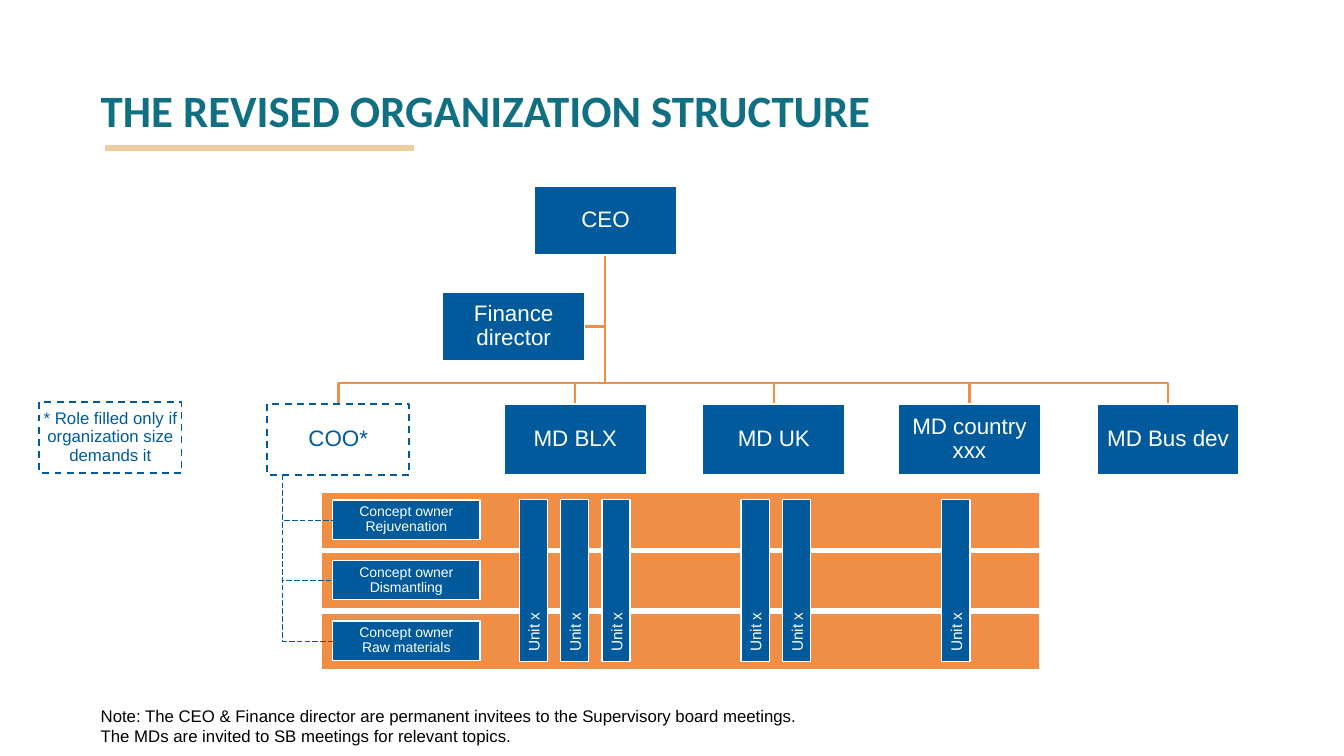
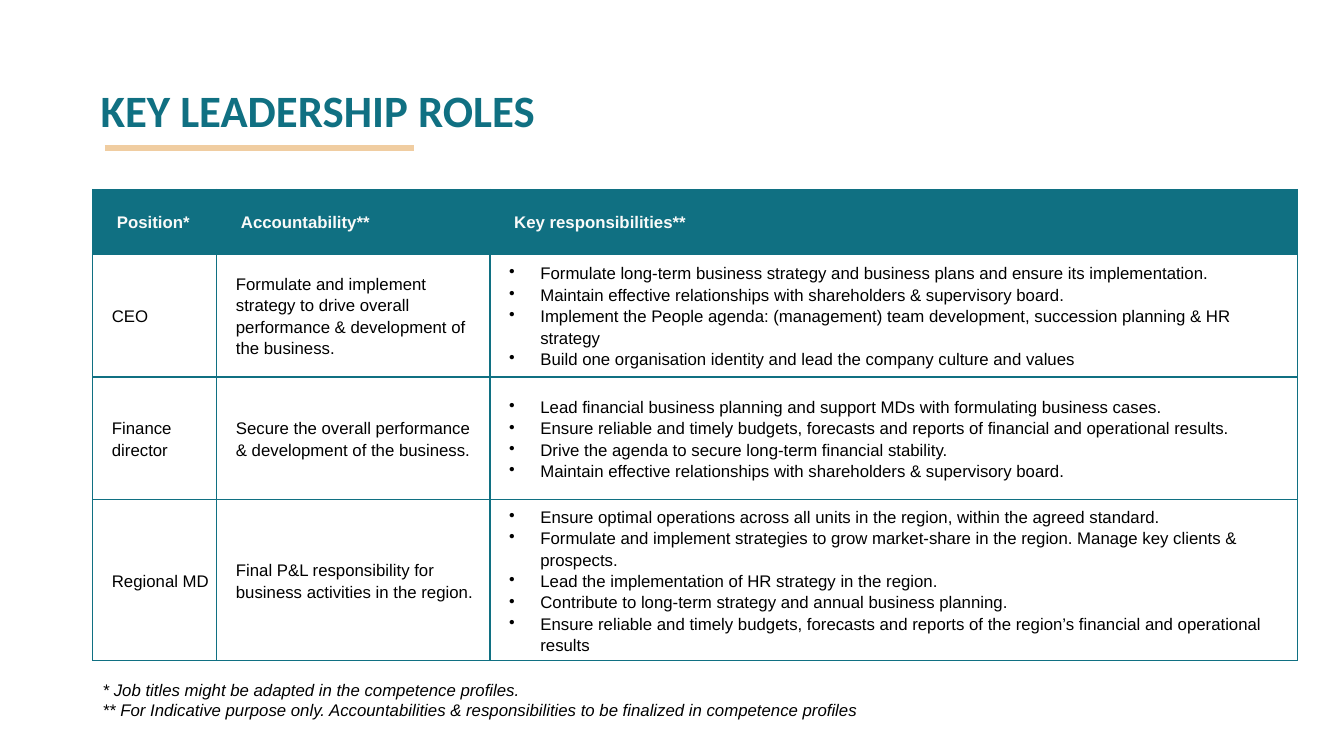
import pptx
import pptx.dml.color
import pptx.enum.dml
import pptx.enum.shapes
import pptx.enum.text
import pptx.oxml.ns
import pptx.util
import lxml.etree

Inches = pptx.util.Inches
Pt = pptx.util.Pt
RGB = pptx.dml.color.RGBColor
DASH = pptx.enum.dml.MSO_LINE
LINK = pptx.enum.shapes.MSO_CONNECTOR
ANCHOR = pptx.enum.text.MSO_ANCHOR
ALIGN = pptx.enum.text.PP_ALIGN
qn = pptx.oxml.ns.qn

TEAL = RGB(0x10, 0x70, 0x82)
SAND = RGB(0xF0, 0xCD, 0xA1)
BLUE = RGB(0x00, 0x5A, 0x9B)
ORANGE = RGB(0xF0, 0x8E, 0x45)
WHITE = RGB(0xFF, 0xFF, 0xFF)
PALE = RGB(0xF9, 0xFA, 0xF9)
BLACK = RGB(0x00, 0x00, 0x00)

HEADS = ["Position*", "Accountability**", "Key responsibilities**"]
ROLES = [
    ("CEO",
     "Formulate and implement strategy to drive overall performance & development of the business.",
     ["Formulate long-term business strategy and business plans and ensure its implementation.",
      "Maintain effective relationships with shareholders & supervisory board.",
      "Implement the People agenda: (management) team development, succession planning & HR strategy",
      "Build one organisation identity and lead the company culture and values"]),
    ("Finance director",
     "Secure the overall performance & development of the business.",
     ["Lead financial business planning and support MDs with formulating business cases.",
      "Ensure reliable and timely budgets, forecasts and reports of financial and operational results.",
      "Drive the agenda to secure long-term financial stability.",
      "Maintain effective relationships with shareholders & supervisory board."]),
    ("Regional MD",
     "Final P&L responsibility for business activities in the region.",
     ["Ensure optimal operations across all units in the region, within the agreed standard.",
      "Formulate and implement strategies to grow market-share in the region. Manage key clients & prospects.",
      "Lead the implementation of HR strategy in the region.",
      "Contribute to long-term strategy and annual business planning.",
      "Ensure reliable and timely budgets, forecasts and reports of the region’s financial and operational results"]),
]


def write(frame, lines, size, color, face="Arial", bold=False, slant=False,
          align=ALIGN.LEFT, pitch=None, left=0, hang=0):
    frame.word_wrap = True
    for i, line in enumerate(lines):
        para = frame.add_paragraph() if i else frame.paragraphs[0]
        para.alignment = align
        if pitch:
            para.line_spacing = pitch
        if left:
            props = para._p.get_or_add_pPr()
            props.set("marL", str(Inches(left)))
            props.set("indent", str(Inches(-hang)))
            if hang:
                lxml.etree.SubElement(props, qn("a:buChar")).set("char", "•")
        for j, part in enumerate(line.split("\n")):
            if j:
                para.add_line_break()
            run = para.add_run()
            run.text = part
            font = run.font
            font.name, font.size, font.bold, font.italic = face, Pt(size), bold, slant
            font.color.rgb = color


def inset(item, side, end):
    item.margin_left = item.margin_right = Inches(side)
    item.margin_top = item.margin_bottom = Inches(end)


def label(slide, x, y, w, h, lines, size, color, anchor=ANCHOR.TOP, **style):
    frame = slide.shapes.add_textbox(Inches(x), Inches(y), Inches(w), Inches(h)).text_frame
    frame.vertical_anchor = anchor
    write(frame, lines, size, color, **style)


def rect(slide, x, y, w, h, fill=BLUE):
    shape = slide.shapes.add_shape(pptx.enum.shapes.MSO_SHAPE.RECTANGLE,
                                   Inches(x), Inches(y), Inches(w), Inches(h))
    shape.shadow.inherit = False
    if fill is None:
        shape.fill.background()
        shape.line.color.rgb = BLUE
        shape.line.width = Pt(1.25)
        shape.line.dash_style = DASH.DASH
    else:
        shape.fill.solid()
        shape.fill.fore_color.rgb = fill
        shape.line.color.rgb = WHITE
        shape.line.width = Pt(1)
    return shape


def card(slide, x, y, w, h, text, size=16, fill=BLUE):
    frame = rect(slide, x, y, w, h, fill).text_frame
    frame.vertical_anchor = ANCHOR.MIDDLE
    inset(frame, 0.01, 0.01)
    write(frame, [text], size, WHITE if fill else BLUE, align=ALIGN.CENTER, pitch=0.9)


def link(slide, kind, x1, y1, x2, y2, color, width):
    line = slide.shapes.add_connector(kind, Inches(x1), Inches(y1), Inches(x2), Inches(y2))
    line.line.color.rgb = color
    line.line.width = Pt(width)
    lxml.etree.SubElement(line._element.spPr, qn("a:effectLst"))
    return line


def elbow(slide, x1, y1, x2, y2, color, width, turn=None):
    down, side = y2 - y1, abs(x2 - x1)
    x, y = (x1 + x2 - down) / 2, (y1 + y2 - side) / 2
    line = link(slide, LINK.ELBOW, x, y, x + down, y + side, color, width)
    props = line._element.spPr
    frame = props.find(qn("a:xfrm"))
    right = x2 > x1
    frame.set("rot", str((270 if right else 90) * 60000))
    if right:
        frame.set("flipH", "1")
    shape = props.find(qn("a:prstGeom"))
    if turn is None:
        shape.set("prst", "bentConnector2")
    else:
        guide = lxml.etree.SubElement(shape.find(qn("a:avLst")), qn("a:gd"))
        guide.set("name", "adj1")
        guide.set("fmla", f"val {round((turn - y1) / down * 100000)}")
    return line


def title(slide, text):
    label(slide, 0.9, 0.4, 11.5, 1.45, [text], 32, TEAL, ANCHOR.MIDDLE,
          face="Calibri", bold=True, pitch=0.9)
    link(slide, LINK.STRAIGHT, 1.04, 1.47, 4.11, 1.47, SAND, 4.32)


def tree(slide, x, y):
    w, h, low = 1.41, 0.68, y + 2.16
    stem, base = x + 3.35, y + h
    peers = [("COO*", 0, None), ("MD BLX", 2.35, BLUE), ("MD UK", 4.32, BLUE),
             ("MD country xxx", 6.26, BLUE), ("MD Bus dev", 8.23, BLUE)]
    for text, step, fill in peers:
        elbow(slide, stem, base, x + step + w / 2, low, ORANGE, 1.75, y + 1.95)
    elbow(slide, stem, base, x + 1.74 + w, y + 1.39, ORANGE, 1.75)
    card(slide, x + 2.65, y, w, h, "CEO")
    card(slide, x + 1.74, y + 1.05, w, h, "Finance director")
    for text, step, fill in peers:
        card(slide, x + step, low, w, 0.7, text, fill=fill)


def matrix(slide, x, y, w):
    for i, name in enumerate(["Rejuvenation", "Dismantling", "Raw materials"]):
        top = y + 0.6 * i
        rect(slide, x, top, w, 0.56, ORANGE)
        card(slide, x + 0.11, top + 0.08, 1.46, 0.39, f"Concept owner\n{name}", 10)
        line = elbow(slide, x - 0.39, y - 0.17, x + 0.11, top + 0.28, BLUE, 0.5)
        line.line.dash_style = DASH.LONG_DASH
    long, thick = 1.61, 0.28
    for start, count in [(1.96, 3), (4.16, 2), (6.15, 1)]:
        for i in range(count):
            mid = x + start + 0.41 * i + thick / 2
            bar = rect(slide, mid - long / 2, y + 0.74, long, thick)
            bar.rotation = 270
            bar.text_frame.vertical_anchor = ANCHOR.TOP
            write(bar.text_frame, ["Unit x"], 11, WHITE)


def edge(cell):
    props = cell._tc.get_or_add_tcPr()
    for i, side in enumerate("LRTB"):
        line = lxml.etree.Element(qn(f"a:ln{side}"), w=str(Pt(1)))
        fill = lxml.etree.SubElement(line, qn("a:solidFill"))
        lxml.etree.SubElement(fill, qn("a:srgbClr")).set("val", str(TEAL))
        props.insert(i, line)


def roles(slide, x, y):
    wide, high = [1.23, 2.71, 8.01], [0.64, 1.22, 1.22, 1.22]
    table = slide.shapes.add_table(len(high), len(wide), Inches(x), Inches(y),
                                   Inches(sum(wide)), Inches(sum(high))).table
    for col, size in zip(table.columns, wide):
        col.width = Inches(size)
    for row, size in zip(table.rows, high):
        row.height = Inches(size)
    for r, texts in enumerate([HEADS] + ROLES):
        for c, text in enumerate(texts):
            cell = table.cell(r, c)
            cell.vertical_anchor = ANCHOR.MIDDLE
            inset(cell, 0.07 if r else 0, 0)
            if r:
                cell.fill.background()
            else:
                cell.fill.solid()
                cell.fill.fore_color.rgb = TEAL
            edge(cell)
            many = isinstance(text, list)
            left = 0.43 if many else 0.12 if r else 0.24
            write(cell.text_frame, text if many else [text], 12, BLACK if r else PALE,
                  bold=not r, pitch=1.14, left=left, hang=0.31 if many else 0)


def main():
    deck = pptx.Presentation()
    deck.slide_width, deck.slide_height = Inches(13.33), Inches(7.5)
    blank = deck.slide_layouts[6]

    slide = deck.slides.add_slide(blank)
    title(slide, "THE REVISED ORGANIZATION STRUCTURE")
    tree(slide, 2.65, 1.85)
    matrix(slide, 3.19, 4.88, 7.12)
    card(slide, 0.39, 3.99, 1.41, 0.7, "* Role filled only if organization size demands it", 12, None)
    label(slide, 0.9, 6.95, 10.41, 0.5,
          ["Note: The CEO & Finance director are permanent invitees to the Supervisory board meetings.\n"
           "The MDs are invited to SB meetings for relevant topics."], 12, BLACK)

    slide = deck.slides.add_slide(blank)
    title(slide, "KEY LEADERSHIP ROLES")
    roles(slide, 0.92, 1.88)
    label(slide, 0.92, 6.69, 7.86, 0.5,
          ["* Job titles might be adapted in the competence profiles.",
           "** For Indicative purpose only. Accountabilities & responsibilities to be finalized in competence profiles"],
          12, BLACK, slant=True)
    deck.save("out.pptx")


if __name__ == "__main__":
    main()
